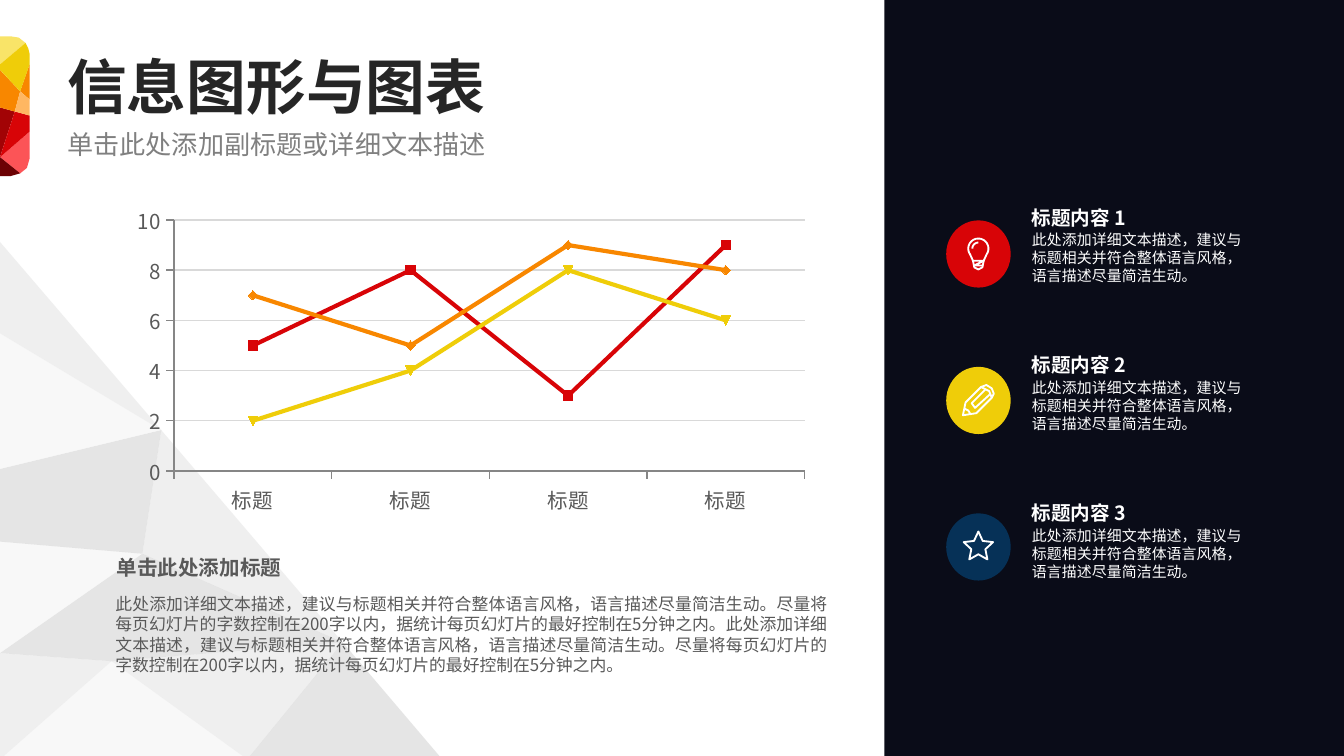
import math
from dataclasses import dataclass

from lxml import etree
from pptx import Presentation, util as u
from pptx.chart.data import CategoryChartData
from pptx.dml.color import RGBColor
from pptx.enum import chart as charts, shapes, text
from pptx.oxml.ns import qn


@dataclass(frozen=True)
class Theme:
    font: str = "Noto Sans CJK SC"
    title: str = "262626"
    subtitle: str = "808080"
    body: str = "595959"
    white: str = "FFFFFF"
    panel: str = "0A0C18"
    grid: str = "D9D9D9"
    axis: str = "868686"
    red: str = "D80407"
    orange: str = "F88700"
    yellow: str = "EFCD09"
    blue: str = "063157"
    title_size: float = 32
    subtitle_size: float = 14
    heading_size: float = 11
    item_size: float = 10.5
    body_size: float = 9
    small_size: float = 8


THEME = Theme()
WIDTH = 10
HEIGHT = WIDTH * 9 / 16
PANEL_LEFT = 6.58
ITEM_PITCH, BADGE_PITCH = 1.1, 1.09
BADGE_WIDTH, BADGE_HEIGHT = 0.48, 0.5

# Corners shared by the facets; each facet is a string of corner names.
BACKDROP_CORNERS = {
    "a": (0, 1.8), "b": (0, 2.48), "c": (0, 3.49), "d": (0, 4.03),
    "e": (0, 4.86), "f": (0, 5.65), "g": (0.83, 4.92), "h": (1.84, 5.65),
    "i": (3.29, 5.65), "j": (2.55, 4.78), "k": (1.06, 4.12), "l": (1.2, 3.2),
}
BACKDROP_FACETS = [
    ("ghf", "F2F2F2", 50), ("gfe", "D9D9D9", 40), ("hgj", "D9D9D9", 40),
    ("jgek", "BFBFBF", 40), ("jkl", "D9D9D9", 40), ("ked", "F2F2F2", 50),
    ("kdcl", "BFBFBF", 40), ("lcb", "F2F2F2", 50), ("lba", "D9D9D9", 40),
    ("hji", "BFBFBF", 40),
]
TAB_CORNERS = {
    "a": (0, 0.27), "b": (0.08, 0.27), "c": (0.14, 0.28), "d": (0.19, 0.32),
    "e": (0.21, 0.36), "f": (0.22, 0.4), "g": (0.22, 0.48), "h": (0, 0.48),
    "i": (0, 0.52), "j": (0.15, 0.68), "k": (0.22, 0.74), "l": (0.11, 0.83),
    "m": (0, 0.8), "n": (0.22, 0.86), "o": (0.22, 0.98), "p": (0, 1.17),
    "q": (0.22, 1.18), "r": (0.2, 1.25), "s": (0.15, 1.29), "t": (0.08, 1.31),
    "u": (0, 1.31),
}
TAB_FACETS = [
    ("opsrq", "FC5457", 100), ("lmp", "A20305", 100), ("lpon", THEME.red, 100),
    ("sput", "6C0204", 100), ("hdcba", "F9E468", 100),
    ("gjk", THEME.orange, 100), ("ljim", THEME.orange, 100),
    ("ijgfedh", THEME.yellow, 100), ("kjln", "FFB762", 100),
]

DETAIL = "此处添加详细文本描述，建议与标题相关并符合整体语言风格，语言描述尽量简洁生动。"
PACING = "尽量将每页幻灯片的字数控制在200字以内，据统计每页幻灯片的最好控制在5分钟之内。"


def color(value):
    return RGBColor.from_string(value)


def arc(radius, start, stop, step, center_y=0.0):
    angles = (math.radians(angle) for angle in range(start, stop + 1, step))
    return [(radius * math.cos(a), center_y + radius * math.sin(a)) for a in angles]


def bulb_strokes():
    """Return (points, closed) strokes around the badge's centre."""
    foot = [(0.04, 0.05), (0.03, 0.1), (0, 0.115), (-0.03, 0.1), (-0.04, 0.05)]
    return [
        (arc(0.075, 145, 395, 10, -0.04) + foot, True),
        ([(-0.04, 0.05), (0.04, 0.05), (-0.03, 0.085), (0.03, 0.085)], False),
        (arc(0.045, 180, 270, 15, -0.04), False),
    ]


def pencil_strokes():
    return [
        ([(-0.115, 0.11), (-0.095, 0.015), (0.02, -0.1), (0.06, -0.115),
          (0.1, -0.09), (0.115, -0.05), (0.1, -0.02), (-0.015, 0.095)], True),
        ([(0.02, -0.1), (0.08, -0.07), (0.1, -0.02)], False),
        ([(0.05, -0.08), (-0.05, 0.02), (-0.025, 0.055), (0.085, -0.045)], False),
        ([(-0.105, 0.06), (-0.075, 0.075), (-0.06, 0.1)], False),
    ]


def star_strokes():
    tips, notches = arc(0.115, -90, 198, 72), arc(0.055, -54, 234, 72)
    return [([point for pair in zip(tips, notches) for point in pair], True)]


def add_outline(slide, points, closed=True):
    corners = [(u.Inches(x), u.Inches(y)) for x, y in points]
    builder = slide.shapes.build_freeform(*corners[0])
    builder.add_line_segments(corners[1:], close=closed)
    shape = builder.convert_to_shape()
    shape.shadow.inherit = False
    return shape


def add_facets(slide, corners, facets):
    for names, fill, opacity in facets:
        shape = add_outline(slide, [corners[name] for name in names])
        shape.fill.solid()
        shape.fill.fore_color.rgb = color(fill)
        shape.line.fill.background()
        if opacity < 100:
            tone = shape.fill._xPr.find(".//" + qn("a:srgbClr"))
            etree.SubElement(tone, qn("a:alpha"), val=str(opacity * 1000))


def add_solid(slide, kind, left, top, width, height, fill):
    shape = slide.shapes.add_shape(kind, *map(u.Inches, (left, top, width, height)))
    shape.shadow.inherit = False
    shape.fill.solid()
    shape.fill.fore_color.rgb = color(fill)
    shape.line.fill.background()


def add_text(slide, box, content, size, fill, bold=False, align=None, heading=False):
    """Add one paragraph; a heading has no margins and tight lines."""
    frame = slide.shapes.add_textbox(*map(u.Inches, box)).text_frame
    frame.word_wrap = True
    paragraph = frame.paragraphs[0]
    paragraph.text = content
    paragraph.alignment = align
    if heading:
        frame.margin_left = frame.margin_right = 0
        frame.margin_top = frame.margin_bottom = 0
        paragraph.line_spacing = 0.9
    else:
        frame.auto_size = text.MSO_AUTO_SIZE.SHAPE_TO_FIT_TEXT
    font = paragraph.font
    font.name, font.size, font.bold = THEME.font, u.Pt(size), bold
    font.color.rgb = color(fill)
    etree.SubElement(font._element, qn("a:ea"), typeface=THEME.font)


def add_badge(slide, row, fill, strokes):
    left, top = 7.04, 1.64 + row * BADGE_PITCH
    add_solid(slide, shapes.MSO_SHAPE.OVAL, left, top, BADGE_WIDTH, BADGE_HEIGHT, fill)
    center_x, center_y = left + BADGE_WIDTH / 2, top + BADGE_HEIGHT / 2
    for points, closed in strokes:
        placed = [(center_x + x, center_y + y) for x, y in points]
        shape = add_outline(slide, placed, closed)
        shape.fill.background()
        shape.line.color.rgb = color(THEME.white)
        shape.line.width = u.Pt(1)
        etree.SubElement(shape.line._ln, qn("a:round"))


def add_item(slide, row, fill, strokes):
    top = 1.48 + row * ITEM_PITCH
    add_text(slide, (7.58, top, 1.84, 0.28), f"标题内容 {row + 1}",
             THEME.item_size, THEME.white, bold=True)
    add_text(slide, (7.58, top + 0.19, 1.84, 0.5), DETAIL, THEME.small_size, THEME.white)
    add_badge(slide, row, fill, strokes)


def add_line_chart(slide):
    data = CategoryChartData()
    data.categories = ["标题"] * 4
    data.add_series("Series 1", (5, 8, 3, 9))
    data.add_series("Series 2", (7, 5, 9, 8))
    data.add_series("Series 3", (2, 4, 8, 6))
    chart = slide.shapes.add_chart(
        charts.XL_CHART_TYPE.LINE_MARKERS,
        *map(u.Inches, (0.92, 1.48, 5.17, 2.39)), data).chart
    chart.has_legend = chart.has_title = False
    chart.font.name, chart.font.size = THEME.font, u.Pt(THEME.heading_size)
    chart.font.color.rgb = color(THEME.body)
    chart.plots[0].vary_by_categories = False
    for series, tone in zip(chart.plots[0].series, (THEME.red, THEME.orange, THEME.yellow)):
        series.smooth = False
        series.format.line.width = u.Pt(2.25)
        series.format.line.color.rgb = color(tone)
        series.marker.size = 5
        series.marker.format.fill.solid()
        series.marker.format.fill.fore_color.rgb = color(tone)
        series.marker.format.line.color.rgb = color(tone)
    for axis in (chart.category_axis, chart.value_axis):
        axis.major_tick_mark = charts.XL_TICK_MARK.OUTSIDE
        axis.format.line.color.rgb = color(THEME.axis)
    values = chart.value_axis
    values.minimum_scale, values.maximum_scale, values.major_unit = 0, 10, 2
    values.major_gridlines.format.line.color.rgb = color(THEME.grid)
    values.major_gridlines.format.line.width = u.Pt(0.75)


def main():
    presentation = Presentation()
    presentation.slide_width, presentation.slide_height = u.Inches(WIDTH), u.Inches(HEIGHT)
    slide = presentation.slides.add_slide(presentation.slide_layouts[6])
    add_facets(slide, BACKDROP_CORNERS, BACKDROP_FACETS)
    add_text(slide, (0.5, 0.43, 5.25, 0.44), "信息图形与图表",
             THEME.title_size, THEME.title, bold=True, heading=True)
    add_text(slide, (0.5, 0.98, 3.2, 0.19), "单击此处添加副标题或详细文本描述",
             THEME.subtitle_size, THEME.subtitle, heading=True)
    add_facets(slide, TAB_CORNERS, TAB_FACETS)
    add_text(slide, (0.76, 4.37, 5.49, 0.71), (DETAIL + PACING) * 2,
             THEME.body_size, THEME.body, align=text.PP_ALIGN.JUSTIFY)
    add_text(slide, (0.77, 4.08, 5.48, 0.29), "单击此处添加标题",
             THEME.heading_size, THEME.body, bold=True)
    add_solid(slide, shapes.MSO_SHAPE.RECTANGLE, PANEL_LEFT, 0,
              WIDTH - PANEL_LEFT, HEIGHT, THEME.panel)
    badges = [(THEME.red, bulb_strokes()), (THEME.yellow, pencil_strokes()),
              (THEME.blue, star_strokes())]
    for row, (fill, strokes) in enumerate(badges):
        add_item(slide, row, fill, strokes)
    add_line_chart(slide)
    presentation.save("out.pptx")


if __name__ == "__main__":
    main()
